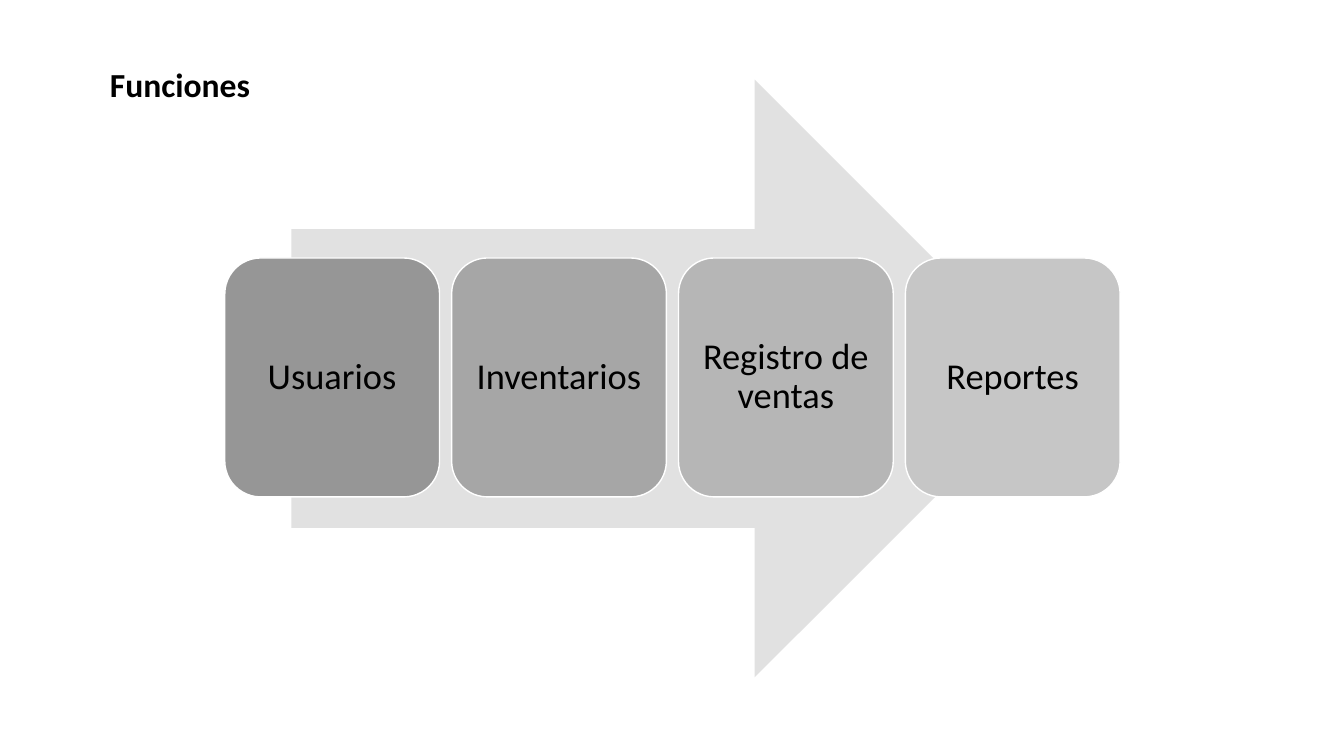
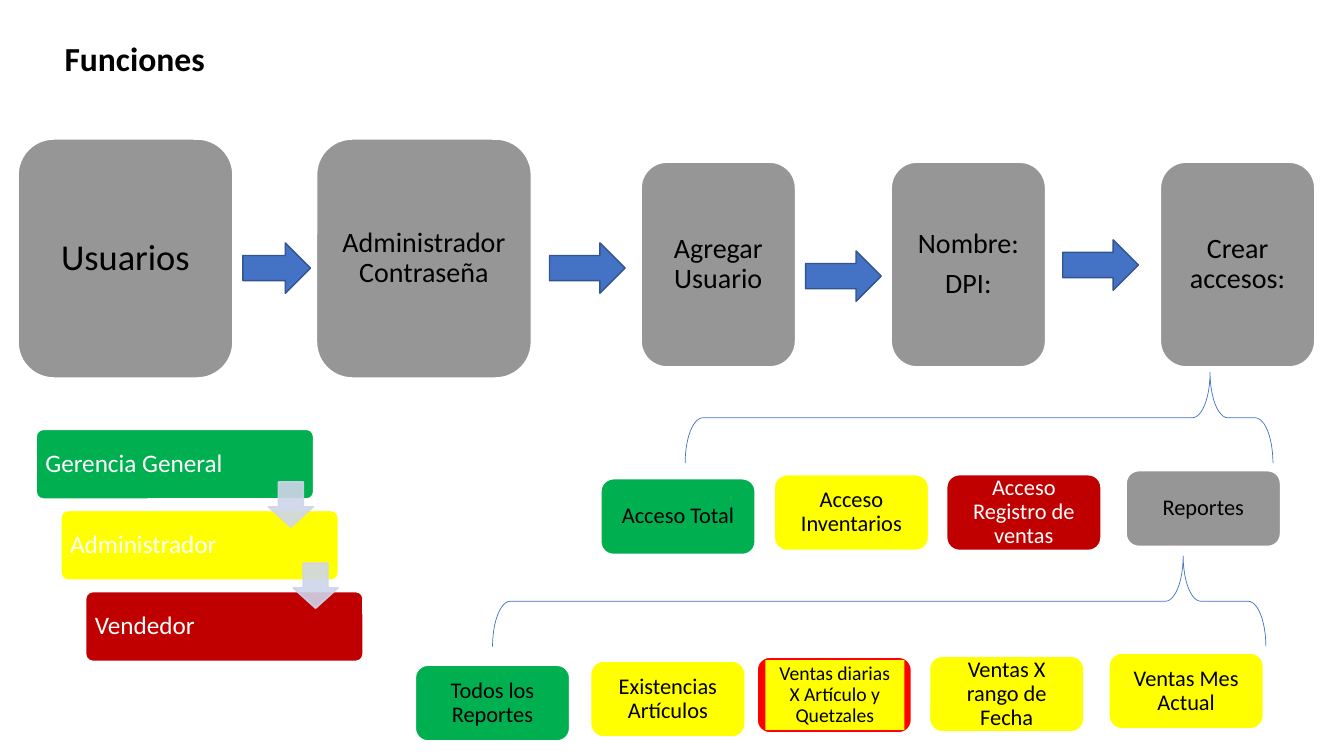
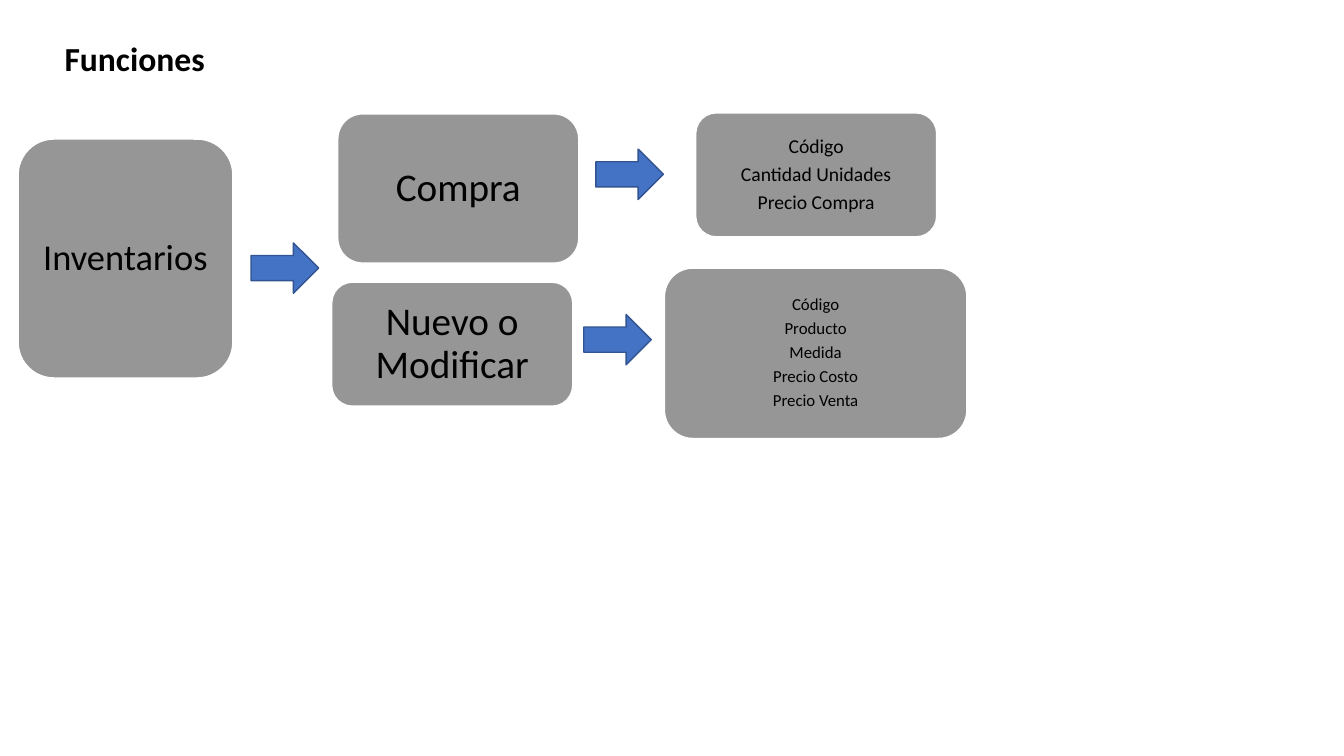
from lxml import etree
from pptx import Presentation
from pptx.dml.color import RGBColor
from pptx.enum import shapes, text
from pptx.oxml.ns import qn
from pptx.util import Inches, Pt

FONT = "Calibri"
BLACK, WHITE, GREY = "000000", "FFFFFF", "969696"
GREEN, YELLOW, DARK_RED, RED = "00B050", "FFFF00", "C00000", "FF0000"
BLUE, DARK_BLUE, PALE_BLUE, PALE_GREY = "4472C4", "325491", "CFD5EA", "E1E1E1"
MARGIN = 0.11
CORNER_INSET = 0.05  # share of the shorter side taken by a rounded corner
KIND = shapes.MSO_SHAPE


def color(value):
    """Turn a hex string into a colour."""
    return RGBColor.from_string(value)


def apply_format(target, values):
    """Set each named attribute on the target."""
    for name, value in values.items():
        setattr(target, name, value)


def write_text(frame, lines, size, font_color=BLACK, bold=False,
               align=text.PP_ALIGN.CENTER, anchor=text.MSO_ANCHOR.MIDDLE,
               line_spacing=0.9, space_after=0.35, margins=None):
    """Fill a text frame with one paragraph per line."""
    apply_format(frame, {"word_wrap": True, "vertical_anchor": anchor,
                         "auto_size": text.MSO_AUTO_SIZE.NONE, **(margins or {})})
    frame.text = lines
    for paragraph in frame.paragraphs:
        apply_format(paragraph, {"alignment": align, "line_spacing": line_spacing,
                                 "space_before": Pt(0),
                                 "space_after": Pt(space_after * size)})
        apply_format(paragraph.font, {"name": FONT, "size": Pt(size), "bold": bold})
        paragraph.font.color.rgb = color(font_color)


def add_shape(slide, kind, left, top, width, height, fill=None, line=None,
              line_width=1, adjustments=()):
    """Add a flat preset shape; no fill or line unless a colour is given."""
    shape = slide.shapes.add_shape(kind, *map(Inches, (left, top, width, height)))
    shape.shadow.inherit = False
    for index, value in enumerate(adjustments):
        shape.adjustments[index] = value
    if fill:
        shape.fill.solid()
        shape.fill.fore_color.rgb = color(fill)
    else:
        shape.fill.background()
    if line:
        shape.line.color.rgb = color(line)
        shape.line.width = Pt(line_width)
    else:
        shape.line.fill.background()
    return shape


def add_box(slide, left, top, width, height, label, size, fill=GREY, font_color=BLACK):
    """Add a rounded box with a centred label."""
    box = add_shape(slide, KIND.ROUNDED_RECTANGLE, left, top, width, height, fill, WHITE)
    shorter = min(width, height)
    across = Inches(MARGIN + CORNER_INSET * (width - shorter))
    down = Inches(MARGIN + CORNER_INSET * (height - shorter))
    write_text(box.text_frame, label, size, font_color,
               margins={"margin_left": across, "margin_right": across,
                        "margin_top": down, "margin_bottom": down})


def add_small_box(slide, left, top, label, fill, font_color=BLACK):
    """Add a box of the access and report rows."""
    add_box(slide, left, top, 1.53, 0.75, label, 16, fill, font_color)


def add_framed_box(slide, left, top, label, fill, frame_color):
    """Add a small box whose label sits on a panel of another colour."""
    add_small_box(slide, left, top, "", frame_color)
    panel = add_shape(slide, KIND.RECTANGLE, left + 0.08, top + 0.03, 1.38, 0.69, fill)
    sides = ("left", "right", "top", "bottom")
    write_text(panel.text_frame, label, 14,
               margins={f"margin_{side}": Inches(MARGIN) for side in sides})


def add_step_arrow(slide, left, top, width=0.67):
    """Add a blue arrow between two steps."""
    add_shape(slide, KIND.RIGHT_ARROW, left, top, width, 0.5, BLUE, DARK_BLUE)


def add_brace(slide, left, top, height):
    """Add a brace turned so that its tip points up."""
    brace = add_shape(slide, KIND.LEFT_BRACE, left, top, 0.9, height,
                      line=BLUE, line_width=0.5, adjustments=(0.196, 0.107))
    brace.rotation = 90


def add_cascade(slide, roles):
    """Add the descending staircase of roles with arrows between them."""
    left, top, step_x, step_y = 0.36, 4.26, 0.245, 0.805
    for index, (role, fill) in enumerate(roles):
        bar = add_shape(slide, KIND.ROUNDED_RECTANGLE, left + index * step_x,
                        top + index * step_y, 2.75, 0.69, fill, WHITE,
                        adjustments=(0.1,))
        write_text(bar.text_frame, role, 18, WHITE, align=text.PP_ALIGN.LEFT,
                   margins={"margin_left": Inches(0.07)})
    for index in range(len(roles) - 1):
        arrow = add_shape(slide, KIND.DOWN_ARROW, left + 2.3 + index * step_x,
                          top + 0.52 + index * step_y, 0.45, 0.45,
                          PALE_BLUE, PALE_BLUE, adjustments=(0.55, 0.45))
        for element in list(arrow.element.spPr.iter(qn("a:srgbClr"))):
            etree.SubElement(element, qn("a:alpha")).set("val", "90000")


def add_slide(presentation, left=0.54, top=0.33):
    """Add a slide with the shared title."""
    slide = presentation.slides.add_slide(presentation.slide_layouts[5])
    title = slide.shapes.title
    apply_format(title, {"left": Inches(left), "top": Inches(top),
                         "width": Inches(5.2), "height": Inches(0.5)})
    write_text(title.text_frame, "Funciones", 24, bold=True, align=text.PP_ALIGN.LEFT,
               anchor=text.MSO_ANCHOR.TOP, line_spacing=1, space_after=0)
    return slide


def build_overview(presentation):
    """Show the four functions on a large arrow."""
    slide = add_slide(presentation, 0.99, 0.58)
    add_shape(slide, KIND.RIGHT_ARROW, 2.89, 0.79, 7.56, 5.93, PALE_GREY)
    functions = (("Usuarios", GREY), ("Inventarios", "A6A6A6"),
                 ("Registro de ventas", "B6B6B6"), ("Reportes", "C6C6C6"))
    for index, (label, fill) in enumerate(functions):
        add_box(slide, 2.23 + 2.25 * index, 2.56, 2.13, 2.37, label, 26, fill)


def build_users(presentation):
    """Show how users are created and what each role may open."""
    slide = add_slide(presentation)
    add_box(slide, 0.18, 1.38, 2.13, 2.37, "Usuarios", 26)
    add_box(slide, 3.14, 1.38, 2.13, 2.37, "Administrador Contraseña", 20)
    for left, label in ((6.36, "Agregar Usuario"), (8.84, "Nombre:\nDPI:"),
                        (11.51, "Crear accesos:")):
        add_box(slide, left, 1.61, 1.53, 2.03, label, 20)
    add_step_arrow(slide, 2.41, 2.41)
    for left, top in ((5.45, 2.41), (7.99, 2.49), (10.54, 2.38)):
        add_step_arrow(slide, left, top, 0.75)

    small_boxes = (
        (5.96, 4.75, "Acceso Total", GREEN),
        (7.68, 4.71, "Acceso Inventarios", YELLOW),
        (9.39, 4.71, "Acceso Registro de ventas", DARK_RED, WHITE),
        (11.17, 4.67, "Reportes", GREY),
        (4.12, 6.6, "Todos los Reportes", GREEN),
        (5.86, 6.56, "Existencias Artículos", YELLOW),
        (9.22, 6.51, "Ventas X rango de Fecha", YELLOW),
        (11, 6.48, "Ventas Mes Actual", YELLOW),
    )
    for small_box in small_boxes:
        add_small_box(slide, *small_box)
    add_framed_box(slide, 7.51, 6.52, "Ventas diarias X Artículo y Quetzales", YELLOW, RED)
    add_brace(slide, 9.26, 1.23, 5.83)
    add_brace(slide, 8.27, 2.13, 7.67)
    add_cascade(slide, (("Gerencia General", GREEN), ("Administrador", YELLOW),
                        ("Vendedor", DARK_RED)))


def build_inventory(presentation):
    """Show the inventory actions and the data each one asks for."""
    slide = add_slide(presentation)
    boxes = (
        (0.18, 1.38, 2.13, 2.37, "Inventarios", 26),
        (3.35, 1.13, 2.39, 1.48, "Compra", 28),
        (3.29, 2.8, 2.39, 1.23, "Nuevo o Modificar", 28),
        (6.9, 1.12, 2.39, 1.23, "Código\nCantidad Unidades\nPrecio Compra", 14),
        (6.59, 2.66, 3, 1.69,
         "Código\nProducto\nMedida\nPrecio Costo\nPrecio Venta", 12),
    )
    for box in boxes:
        add_box(slide, *box)
    for left, top in ((2.49, 2.41), (5.91, 1.48), (5.79, 3.12)):
        add_step_arrow(slide, left, top)


def main():
    """Build and save the presentation."""
    presentation = Presentation()
    apply_format(presentation, {"slide_width": Inches(13.33),
                                "slide_height": Inches(7.5)})
    build_overview(presentation)
    build_users(presentation)
    build_inventory(presentation)
    presentation.save("out.pptx")


main()
